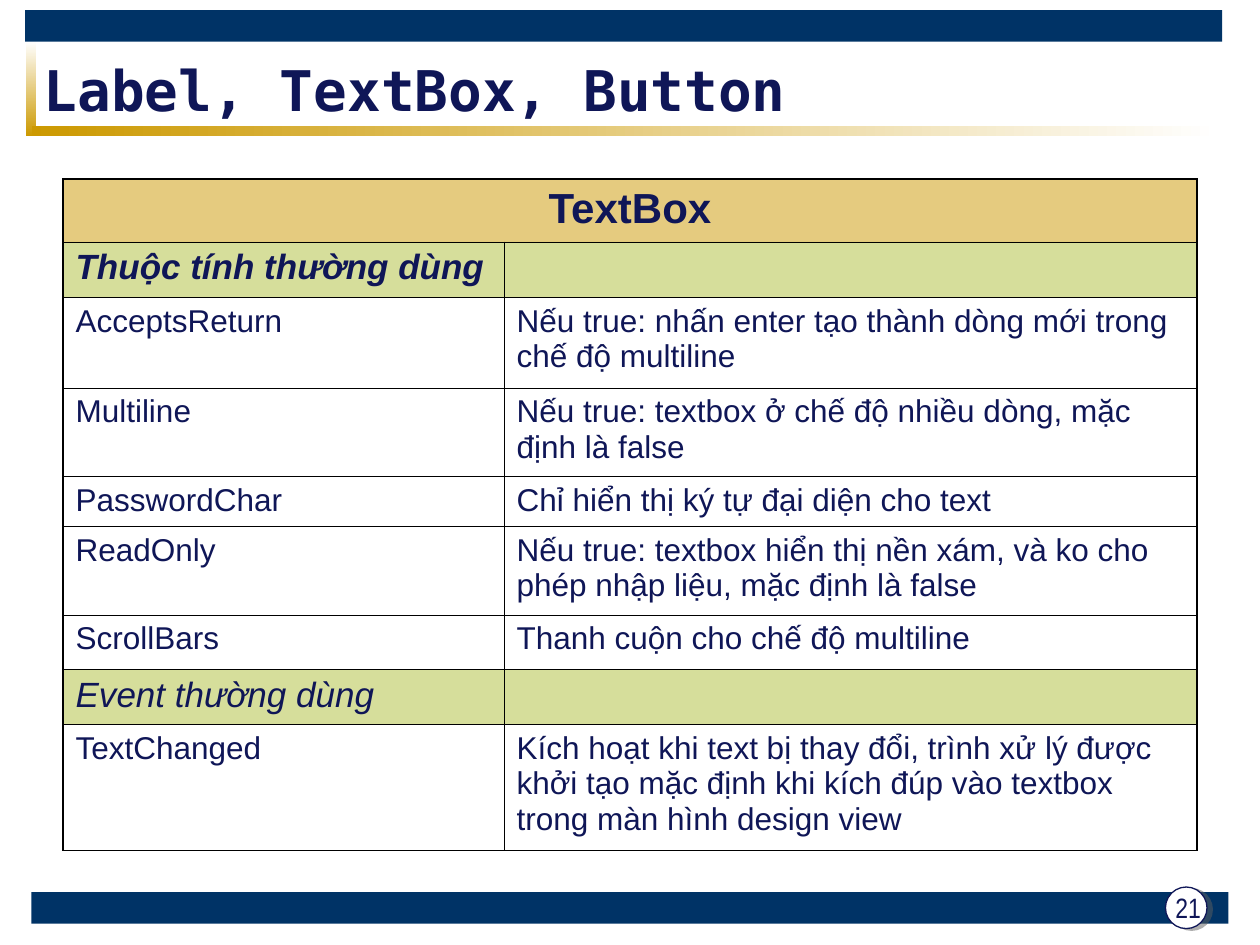
import pptx
import pptx.util
import pptx.dml.color
import pptx.enum.shapes
import pptx.enum.text
import pptx.oxml
import pptx.oxml.ns
from lxml import etree

Inches = pptx.util.Inches
Pt = pptx.util.Pt
RGBColor = pptx.dml.color.RGBColor
Shape = pptx.enum.shapes.MSO_SHAPE
Align = pptx.enum.text.PP_ALIGN
Anchor = pptx.enum.text.MSO_ANCHOR
qn = pptx.oxml.ns.qn

NAVY = RGBColor(0x00, 0x33, 0x66)
INK = RGBColor(0x0F, 0x16, 0x57)
GOLD = RGBColor(0xCC, 0x99, 0x00)
OLIVE = RGBColor(0xAF, 0xBF, 0x39)
WHITE = RGBColor(0xFF, 0xFF, 0xFF)
BLACK = RGBColor(0x00, 0x00, 0x00)
GREY = RGBColor(0x5F, 0x5F, 0x5F)

THICK, THIN = 1.08, 0.45
COLS = [3.5, 5.5]
# Row kind: (size, bold, italic, space before, fill)
KINDS = {
    "head": (24, True, False, 6, GOLD),
    "group": (20, True, True, 5, OLIVE),
    "event": (20, False, True, 5, OLIVE),
    "item": (18, False, False, 4.5, None),
}
# Row: (kind, height, left text, right text)
ROWS = [
    ("head", 0.5, "TextBox", ""),
    ("group", 0.44, "Thuộc tính thường dùng", ""),
    ("item", 0.72, "AcceptsReturn",
     "Nếu true: nhấn enter tạo thành dòng mới trong chế độ multiline"),
    ("item", 0.7, "Multiline",
     "Nếu true: textbox ở chế độ nhiều dòng, mặc định là false"),
    ("item", 0.4, "PasswordChar", "Chỉ hiển thị ký tự đại diện cho text"),
    ("item", 0.7, "ReadOnly",
     "Nếu true: textbox hiển thị nền xám, và ko cho phép nhập liệu, "
     "mặc định là false"),
    ("item", 0.43, "ScrollBars", "Thanh cuộn cho chế độ multiline"),
    ("event", 0.44, "Event thường dùng", ""),
    ("item", 1, "TextChanged",
     "Kích hoạt khi text bị thay đổi, trình xử lý được khởi tạo mặc định "
     "khi kích đúp vào textbox trong màn hình design view"),
]


def add_part(slide, kind, box):
    part = slide.shapes.add_shape(kind, *map(Inches, box))
    part.shadow.inherit = False
    part.line.fill.background()
    return part


def add_bar(slide, box):
    bar = add_part(slide, Shape.RECTANGLE, box)
    bar.fill.solid()
    bar.fill.fore_color.rgb = NAVY


def add_fade(slide, box, start, end, angle):
    fade = add_part(slide, Shape.RECTANGLE, box)
    fade.fill.gradient()
    fade.fill.gradient_angle = angle
    for stop, color in zip(fade.fill.gradient_stops, (start, end)):
        stop.color.rgb = color


def add_text(slide, box, text, font, size, bold=False, align=Align.LEFT):
    frame = slide.shapes.add_textbox(*map(Inches, box)).text_frame
    frame.word_wrap = True
    frame.vertical_anchor = Anchor.MIDDLE
    para = frame.paragraphs[0]
    para.text = text
    para.alignment = align
    set_font(para, font, size, bold)


def set_font(para, name, size, bold=False, italic=False):
    font = para.font
    font.name, font.size = name, Pt(size)
    font.bold, font.italic = bold, italic
    font.color.rgb = INK


def add_color(parent, color, alpha=None):
    node = etree.SubElement(parent, qn("a:srgbClr"), val=str(color))
    if alpha is not None:
        etree.SubElement(node, qn("a:alpha"), val=str(alpha * 1000))


def add_badge(slide, box, number):
    left, top, width, height = box
    disc = add_part(slide, Shape.OVAL, box)
    disc.fill.solid()
    disc.fill.fore_color.rgb = WHITE
    disc.line.color.rgb = INK
    disc.line.width = Pt(0.75)
    # Hard shadow to the lower right
    effects = disc._element.spPr.find(qn("a:effectLst"))
    shadow = etree.SubElement(effects, qn("a:outerShdw"), blurRad="0",
                              dist=str(Pt(3.2)), dir=str(18 * 60000))
    add_color(shadow, GREY, 50)
    add_text(slide, (left - 0.06, top - 0.1, 0.48, 0.52), number,
             "Arial Narrow", 16, align=Align.CENTER)


def set_edges(cell, **widths):
    props = cell._tc.get_or_add_tcPr()
    for side in "LRTB":
        line = etree.SubElement(props, qn("a:ln" + side),
                                w=str(Pt(widths[side])))
        add_color(etree.SubElement(line, qn("a:solidFill")), BLACK)


def set_fill(cell, color):
    if color is None:
        cell.fill.background()
        return
    fill = etree.SubElement(cell._tc.get_or_add_tcPr(), qn("a:solidFill"))
    add_color(fill, color, 50)


def add_grid(slide, box):
    table = slide.shapes.add_table(
        len(ROWS), len(COLS), *map(Inches, box)).table
    table.first_row = table.horz_banding = False
    for col, width in zip(table.columns, COLS):
        col.width = Inches(width)
    table.cell(0, 0).merge(table.cell(0, 1))
    last = len(ROWS) - 1
    for r, (kind, height, *texts) in enumerate(ROWS):
        size, bold, italic, space, color = KINDS[kind]
        head = kind == "head"
        table.rows[r].height = Inches(height)
        for c, text in enumerate(texts):
            cell = table.cell(r, c)
            set_edges(cell,
                      L=THICK if c == 0 else THIN,
                      R=THICK if c == 1 or head else THIN,
                      T=THICK if r == 0 else THIN,
                      B=THICK if r == last else THIN)
            set_fill(cell, color)
            if text:
                para = cell.text_frame.paragraphs[0]
                para.text = text
                para.space_before = Pt(space)
                para.alignment = Align.CENTER if head else Align.LEFT
                set_font(para, "Arial", size, bold, italic)


def add_frame(slide, box):
    left, top, width, height = box
    # Bottom and top bars
    add_bar(slide, (left + 0.05, top + height - 0.25, width, 0.25))
    add_bar(slide, (left, top, width, 0.25))
    # Fading rules beside and under the title
    add_fade(slide, (left + 0.01, top + 0.25, 0.08, 0.75), WHITE, GOLD, 270)
    add_fade(slide, (left + 0.05, top + 0.92, 9.42, 0.08), GOLD, WHITE, 0)
    # Slide number
    add_badge(slide, (left + 9.05, top + 6.96, 0.33, 0.33), "21")


def main():
    deck = pptx.Presentation()
    deck.slide_width, deck.slide_height = Inches(10), Inches(7.5)
    slide = deck.slides.add_slide(deck.slide_layouts[6])
    add_frame(slide, (0.2, 0.08, 9.5, 7.25))
    add_text(slide, (0.25, 0.42, 9, 0.58), "Label, TextBox, Button",
             "DejaVu Sans Mono", 32, bold=True)
    add_grid(slide, (0.5, 1.42, 9, 5.33))
    deck.save("out.pptx")


if __name__ == "__main__":
    main()
